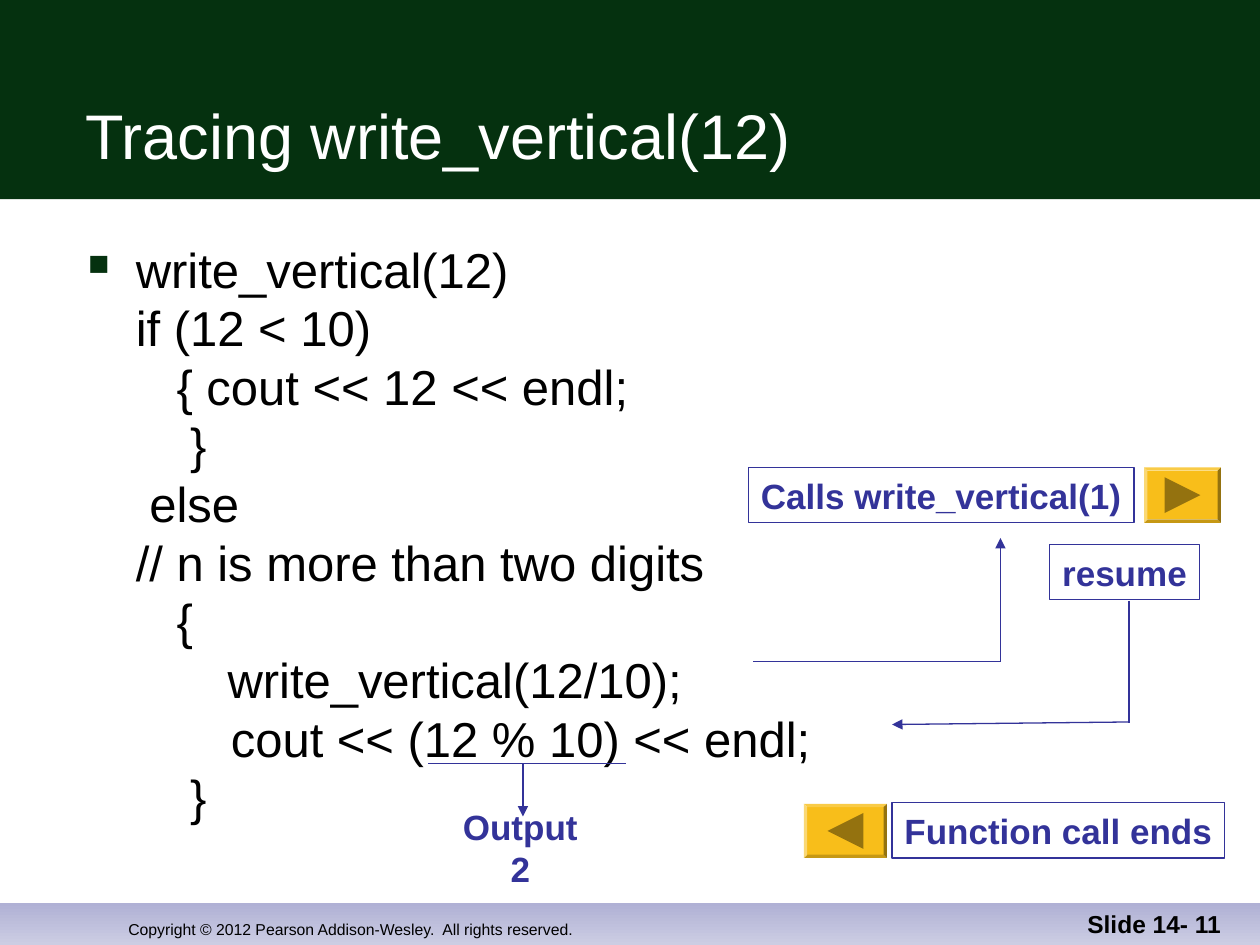
from dataclasses import dataclass

from lxml import etree
from pptx import Presentation
from pptx import util as u
from pptx.dml.color import RGBColor
from pptx.enum import shapes, text
from pptx.oxml.ns import qn


@dataclass(frozen=True)
class Theme:
    font: str = "Arial"
    green: str = "05310F"
    white: str = "FFFFFF"
    black: str = "000000"
    blue: str = "333399"
    gold: str = "F8BE1A"
    brown: str = "94720F"
    band_top: str = "B0B1D5"
    band_bottom: str = "CCCDE3"
    title: int = 36
    code: int = 28
    label: int = 20
    number: int = 14
    copyright: int = 9
    line: float = 0.75


theme = Theme()
deck = Presentation()
deck.slide_width, deck.slide_height = u.Inches(10), u.Inches(7.5)
page = deck.slides.add_slide(deck.slide_layouts[5])

# The grid has 100 columns and 75 rows
column = deck.slide_width / 100
row = deck.slide_height / 75


def place(left, top, width, height):
    return [round(n * step) for n, step in
            zip((left, top, width, height), (column, row, column, row))]


def write(para, words, size, color, bold=False):
    span = para.add_run()
    span.text = words
    span.font.name = theme.font
    span.font.size = u.Pt(size)
    span.font.bold = bold
    span.font.color.rgb = RGBColor.from_string(color)


# Header and footer bands
for area in ((0, 0, 100, 15.8), (0, 71.7, 100, 3.3)):
    band = page.shapes.add_shape(shapes.MSO_SHAPE.RECTANGLE, *place(*area))
    band.shadow.inherit = False
    band.line.fill.background()
    if area[1] == 0:
        band.fill.solid()
        band.fill.fore_color.rgb = RGBColor.from_string(theme.green)
    else:
        band.fill.gradient()
        band.fill.gradient_angle = 270
        for stop, color in zip(band.fill.gradient_stops, (theme.band_top, theme.band_bottom)):
            stop.color.rgb = RGBColor.from_string(color)

# Title, brought in front of the header band
title = page.shapes.title
title.left, title.top, title.width, title.height = place(5.8, 3.3, 90.8, 10.9)
page.shapes._spTree.append(title._element)
title.text_frame.vertical_anchor = text.MSO_ANCHOR.BOTTOM
title.text_frame.auto_size = text.MSO_AUTO_SIZE.NONE
title.text_frame.paragraphs[0].alignment = text.PP_ALIGN.LEFT
write(title.text_frame.paragraphs[0], "Tracing write_vertical(12)", theme.title, theme.white)

# Copyright line and slide number
footers = (
    ((9.2, 70, 49.2, 5), "Copyright © 2012 Pearson Addison-Wesley.  All rights reserved.",
     theme.copyright, False, text.PP_ALIGN.LEFT),
    ((77.1, 70, 20.8, 5), "Slide 14- 11", theme.number, True, text.PP_ALIGN.RIGHT),
)
for area, words, size, bold, align in footers:
    box = page.shapes.add_textbox(*place(*area))
    box.text_frame.word_wrap = True
    box.text_frame.vertical_anchor = text.MSO_ANCHOR.BOTTOM
    box.text_frame.paragraphs[0].alignment = align
    write(box.text_frame.paragraphs[0], words, size, theme.black, bold)

# Code, one bulleted paragraph with line breaks
code = (
    "write_vertical(12)",
    "if (12 < 10)",
    "   { cout << 12 << endl;",
    "    }",
    " else",
    "// n is more than two digits",
    "   {",
    " \t write_vertical(12/10);",
    "       cout << (12 % 10) << endl;",
    "    }",
)
box = page.shapes.add_textbox(*place(6, 18.5, 90.7, 50))
box.text_frame.word_wrap = True
box.text_frame.margin_right = 0
para = box.text_frame.paragraphs[0]
props = para._p.get_or_add_pPr()
props.set("marL", str(u.Inches(0.38)))
props.set("indent", str(-u.Inches(0.38)))
bullet_color = etree.SubElement(props, qn("a:buClr"))
etree.SubElement(bullet_color, qn("a:srgbClr"), val=theme.green)
etree.SubElement(props, qn("a:buSzPct"), val="60000")
etree.SubElement(props, qn("a:buChar"), char="■")
tabs = etree.SubElement(props, qn("a:tabLst"))
for inch in range(1, 9):
    etree.SubElement(tabs, qn("a:tab"), pos=str(u.Inches(inch)), algn="l")
para.line_spacing = u.Pt(33.5)
for index, words in enumerate(code):
    if index:
        para.add_line_break()
    write(para, words, theme.code, theme.black)

# Labels, framed except for the output
labels = (
    ((59.4, 37.1, 30.6, 4.4), "Calls write_vertical(1)", True),
    ((83.3, 43.2, 11.9, 4.4), "resume", True),
    ((34.6, 65.1, 13.4, 4.4), "Output 2", False),
    ((70.8, 63.7, 26.4, 4.4), "Function call ends", True),
)
for area, words, framed in labels:
    box = page.shapes.add_textbox(*place(*area))
    box.text_frame.word_wrap = False
    box.text_frame.vertical_anchor = text.MSO_ANCHOR.MIDDLE
    if framed:
        box.line.color.rgb = RGBColor.from_string(theme.blue)
        box.line.width = u.Pt(theme.line)
    para = box.text_frame.paragraphs[0]
    para.alignment = text.PP_ALIGN.CENTER
    write(para, words, theme.label, theme.blue, True)

# Lines and arrows: call, resume, output
links = (
    ((59.8, 52.5, 79.4, 52.5), False),
    ((79.4, 52.5, 79.4, 42.7), True),
    ((89.6, 47.7, 89.6, 57.4), False),
    ((89.6, 57.3, 70.8, 57.5), True),
    ((34, 60.6, 49.7, 60.6), False),
    ((41.5, 60.6, 41.5, 64.8), True),
)
for ends, arrow in links:
    link = page.shapes.add_connector(shapes.MSO_CONNECTOR.STRAIGHT, *place(*ends))
    link.line.color.rgb = RGBColor.from_string(theme.blue)
    link.line.width = u.Pt(theme.line)
    if arrow:
        etree.SubElement(link.line._get_or_add_ln(), qn("a:tailEnd"), type="triangle")
    etree.SubElement(link._element.spPr, qn("a:effectLst"))

# Bevelled buttons with a triangle in the middle
side = 2.85
for (left, top, width, height), turn in (((90.8, 37.1, 6.1, 4.4), 90),
                                         ((63.8, 63.8, 6.6, 4.3), 270)):
    button = page.shapes.add_shape(shapes.MSO_SHAPE.BEVEL, *place(left, top, width, height))
    button.adjustments[0] = 0.06
    sign = page.shapes.add_shape(
        shapes.MSO_SHAPE.ISOSCELES_TRIANGLE,
        *place(left + (width - side) / 2, top + (height - side) / 2, side, side))
    sign.rotation = turn
    for part, color in ((button, theme.gold), (sign, theme.brown)):
        part.shadow.inherit = False
        part.line.fill.background()
        part.fill.solid()
        part.fill.fore_color.rgb = RGBColor.from_string(color)

deck.save("out.pptx")
